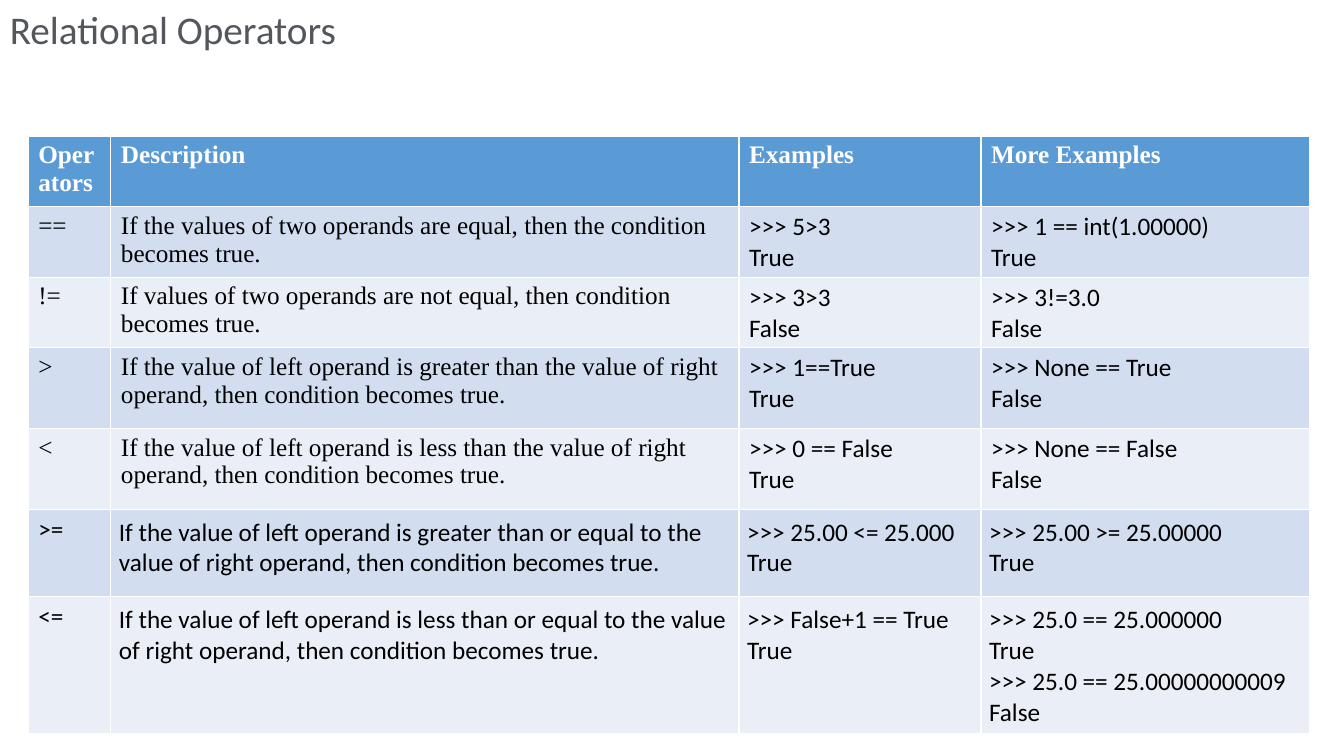
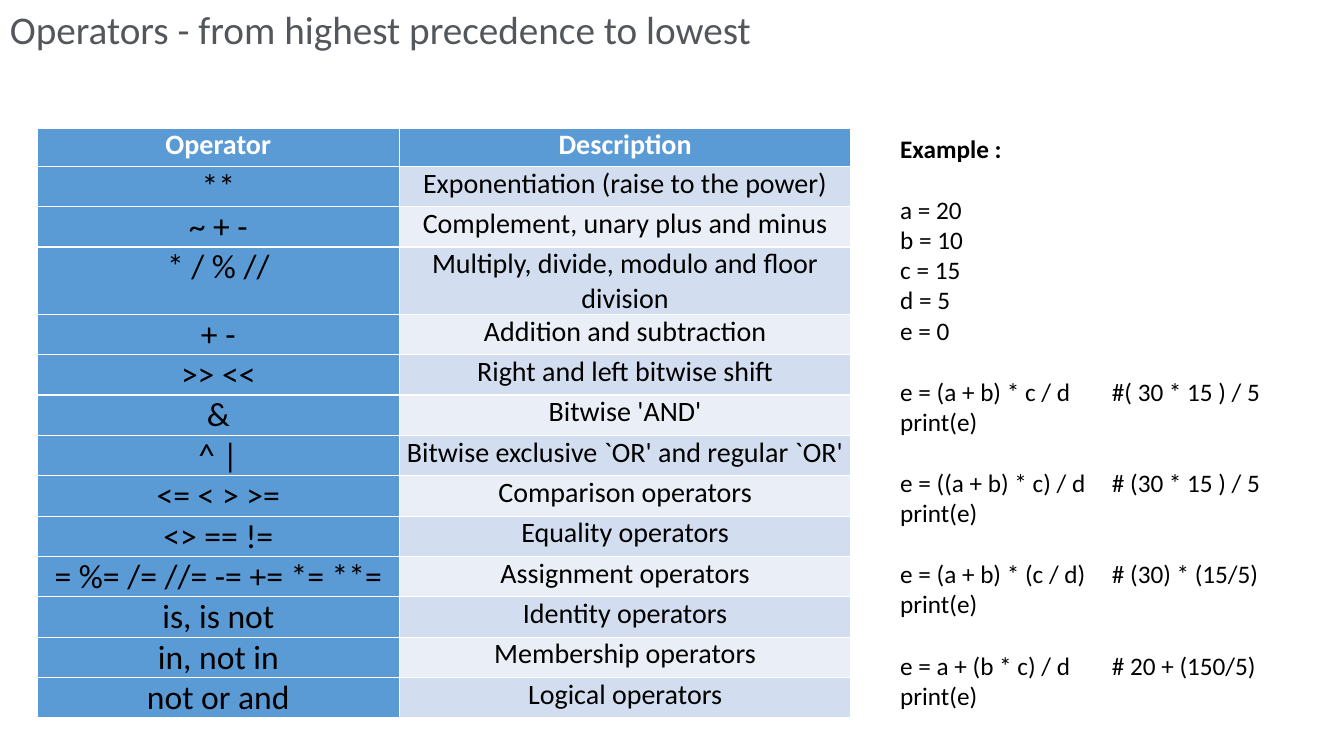
from lxml import etree
from pptx import Presentation
from pptx.dml.color import RGBColor
from pptx.enum import text as te
from pptx.oxml.ns import qn
from pptx.util import Inches, Pt

COLORS = {"title": "53575C", "header": "5B9BD5", "odd": "D2DEEF",
          "even": "EAEFF7", "light": "FFFFFF", "dark": "000000"}
SANS, SERIF = "Calibri", "Times New Roman"
LINE_GAP = 22
COMMENT_TAB = 2.1

RELATIONAL = [
    ("Operators", "Description", "Examples", "More Examples"),
    ("==", "If the values of two operands are equal, then the condition becomes true.",
     ">>> 5>3\nTrue", ">>> 1 == int(1.00000)\nTrue"),
    ("!=", "If values of two operands are not equal, then condition becomes true.",
     ">>> 3>3\nFalse", ">>> 3!=3.0\nFalse"),
    (">", "If the value of left operand is greater than the value of right operand, "
     "then condition becomes true.",
     ">>> 1==True\nTrue", ">>> None == True\nFalse"),
    ("<", "If the value of left operand is less than the value of right operand, "
     "then condition becomes true.",
     ">>> 0 == False\nTrue", ">>> None == False\nFalse"),
    (">=", "If the value of left operand is greater than or equal to the value of "
     "right operand, then condition becomes true.",
     ">>> 25.00 <= 25.000\nTrue", ">>> 25.00 >= 25.00000\nTrue"),
    ("<=", "If the value of left operand is less than or equal to the value of "
     "right operand, then condition becomes true.",
     ">>> False+1 == True\nTrue",
     ">>> 25.0 == 25.000000\nTrue\n>>> 25.0 == 25.00000000009\nFalse"),
]
RELATIONAL_COLS = [0.82, 6.23, 2.4, 3.26]
RELATIONAL_ROWS = [0.64, 0.64, 0.64, 0.8, 0.8, 0.87, 1.26]
FIRST_SANS_ROW = 5

PRECEDENCE = [
    ("Operator", "Description"),
    ("**", "Exponentiation (raise to the power)"),
    ("~ + -", "Complement, unary plus and minus"),
    ("* / % //", "Multiply, divide, modulo and floor division"),
    ("+ -", "Addition and subtraction"),
    (">> <<", "Right and left bitwise shift"),
    ("&", "Bitwise 'AND'"),
    ("^ |", "Bitwise exclusive `OR' and regular `OR'"),
    ("<= < > >=", "Comparison operators"),
    ("<> == !=", "Equality operators"),
    ("= %= /= //= -= += *= **=", "Assignment operators"),
    ("is, is not", "Identity operators"),
    ("in, not in", "Membership operators"),
    ("not or and", "Logical operators"),
]
PRECEDENCE_COLS = [3.59, 4.48]
PRECEDENCE_ROWS = [0.38, 0.4] + [0.38] * 12

EXAMPLE = [
    ["Example :"],
    ["a = 20", "b = 10", "c = 15", "d = 5", "e = 0"],
    ["e = (a + b) * c / d\t#( 30 * 15 ) / 5", "print(e)"],
    ["e = ((a + b) * c) / d\t# (30 * 15 ) / 5", "print(e)"],
    ["e = (a + b) * (c / d)\t# (30) * (15/5)", "print(e)"],
    ["e = a + (b * c) / d\t# 20 + (150/5)", "print(e)"],
]


def rgb(name):
    return RGBColor.from_string(COLORS[name])


def set_font(paragraph, size, color="dark", face=SANS, bold=False):
    font = paragraph.font
    font.size, font.name, font.bold = Pt(size), face, bold
    font.color.rgb = rgb(color)


def add_text(slide, left, top, width, height, wrap):
    frame = slide.shapes.add_textbox(*map(Inches, (left, top, width, height))).text_frame
    frame.word_wrap = wrap
    frame.auto_size = te.MSO_AUTO_SIZE.SHAPE_TO_FIT_TEXT
    return frame


def add_titled_slide(prs, title, width):
    slide = prs.slides.add_slide(prs.slide_layouts[6])
    frame = add_text(slide, 0, 0, width, 0.57, False)
    frame.text = title
    set_font(frame.paragraphs[0], 28, "title")
    return slide


def add_grid(slide, left, top, widths, heights, rows, style):
    """Draw a banded table; style(row, col) gives size, face, margins, alignment and fill."""
    table = slide.shapes.add_table(
        len(rows), len(widths), Inches(left), Inches(top),
        Inches(sum(widths)), Inches(sum(heights))).table
    for column, width in zip(table.columns, widths):
        column.width = Inches(width)
    for r, (height, row) in enumerate(zip(heights, rows)):
        table.rows[r].height = Inches(height)
        band = "header" if r == 0 else "odd" if r % 2 else "even"
        for c, content in enumerate(row):
            size, face, (side, edge), align, fill = style(r, c)
            cell = table.cell(r, c)
            cell.text = content
            cell.fill.solid()
            cell.fill.fore_color.rgb = rgb(fill or band)
            cell.margin_left = cell.margin_right = Inches(side)
            cell.margin_top = cell.margin_bottom = Inches(edge)
            for paragraph in cell.text_frame.paragraphs:
                paragraph.alignment = align
                set_font(paragraph, size, "dark" if r else "light", face, r == 0)


def relational_style(r, c):
    late = r >= FIRST_SANS_ROW
    face = SERIF if r == 0 or (c < 2 and not late) else SANS
    margins = (0.08, 0.08) if late and c else (0.1, 0.05)
    return 18, face, margins, te.PP_ALIGN.LEFT, None


def precedence_style(r, c):
    is_symbol = r > 0 and c == 0
    return (24 if is_symbol else 20, SANS, (0.07, 0), te.PP_ALIGN.CENTER,
            "header" if is_symbol else None)


def add_example(slide):
    frame = add_text(slide, 8.83, 1.27, 4.12, 5.86, True)
    lines = [(line, b, i) for b, block in enumerate(EXAMPLE) for i, line in enumerate(block)]
    for n, (line, b, i) in enumerate(lines):
        paragraph = frame.add_paragraph() if n else frame.paragraphs[0]
        paragraph.text = line
        if b and i == 0:
            paragraph.space_before = Pt(LINE_GAP)
        if "\t" in line:
            tabs = etree.SubElement(paragraph._p.get_or_add_pPr(), qn("a:tabLst"))
            etree.SubElement(tabs, qn("a:tab"), pos=str(Inches(COMMENT_TAB)), algn="l")
        set_font(paragraph, 18, bold=b == 0)


def main():
    prs = Presentation()
    prs.slide_width, prs.slide_height = Inches(13.33), Inches(7.5)

    relational = add_titled_slide(prs, "Relational Operators", 3.44)
    add_grid(relational, 0.28, 1.35, RELATIONAL_COLS, RELATIONAL_ROWS,
             RELATIONAL, relational_style)

    precedence = add_titled_slide(prs, "Operators - from highest precedence to lowest", 7.56)
    add_grid(precedence, 0.37, 1.27, PRECEDENCE_COLS, PRECEDENCE_ROWS,
             PRECEDENCE, precedence_style)
    add_example(precedence)

    prs.save("out.pptx")


if __name__ == "__main__":
    main()
